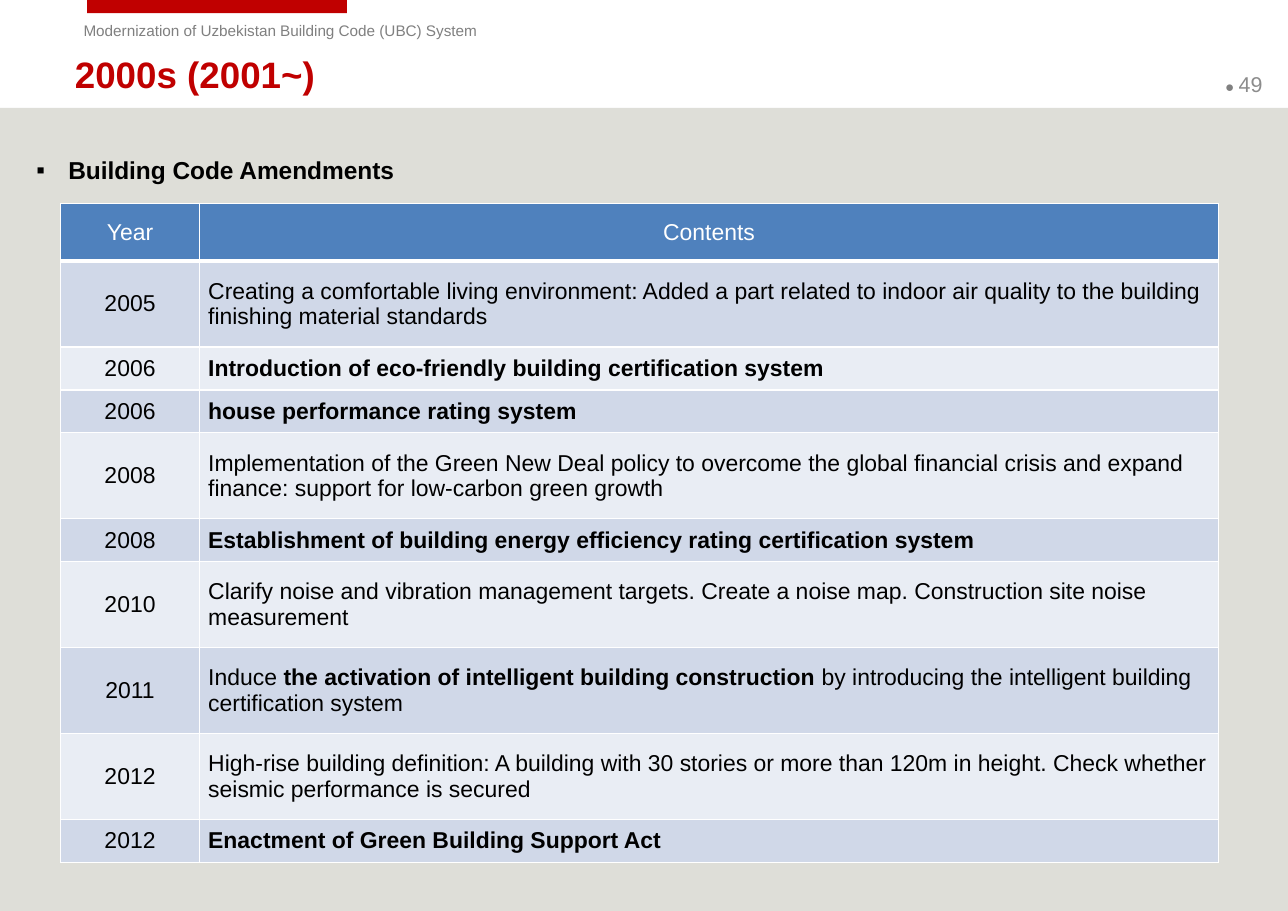
from lxml import etree
from pptx import Presentation
from pptx.dml.color import RGBColor
from pptx.enum.shapes import MSO_SHAPE
from pptx.enum.text import MSO_ANCHOR, PP_ALIGN
from pptx.oxml.ns import qn
from pptx.util import Inches, Pt

RECTANGLE = MSO_SHAPE.RECTANGLE
TOP, MIDDLE = MSO_ANCHOR.TOP, MSO_ANCHOR.MIDDLE
LEFT, CENTER = PP_ALIGN.LEFT, PP_ALIGN.CENTER

COLORS = {
    "panel": "DEDED8", "accent": "C00000", "gray": "808080", "number": "8C8C8C",
    "black": "000000", "white": "FFFFFF", "header": "4F81BD",
    "odd": "D0D8E8", "even": "E9EDF4",
}
FONT = "Arial"
TABLE_SIZE = 15

BANDS = [
    ((0, 0.98, 11.69, 7.29), "panel"),
    ((0.79, 0, 2.36, 0.12), "accent"),
]

TEXTS = [
    ((0.66, 0.14, 4.68, 0.27), (0.1, 0.05), TOP, None,
     [("Modernization of Uzbekistan Building Code (UBC) System", 10, "gray", False)]),
    ((11.01, 0.54, 0.69, 0.44), (0.11, 0.06), MIDDLE, None,
     [("● ", 10, "gray", False), ("49", 14, "number", False)]),
    ((0.57, 0.47, 10.42, 0.4), (0.11, 0.06), MIDDLE, None,
     [("2000s (2001~)", 24, "accent", True)]),
    ((0.22, 1.35, 11.09, 0.4), (0.11, 0.06), TOP, "▪",
     [("Building Code Amendments", 16, "black", True)]),
]

HEADINGS = ["Year", "Contents"]
AMENDMENTS = [
    ("2005", 0.78, [("Creating a comfortable living environment: Added a part related to "
                     "indoor air quality to the building finishing material standards", False)]),
    ("2006", 0.39, [("Introduction of eco-friendly building certification system", True)]),
    ("2006", 0.39, [("house performance rating system", True)]),
    ("2008", 0.78, [("Implementation of the Green New Deal policy to overcome the global "
                     "financial crisis and expand finance: support for low-carbon green growth", False)]),
    ("2008", 0.39, [("Establishment of building energy efficiency rating certification system", True)]),
    ("2010", 0.78, [("Clarify noise and vibration management targets. Create a noise map. "
                     "Construction site noise measurement", False)]),
    ("2011", 0.78, [("Induce ", False),
                    ("the activation of intelligent building construction ", True),
                    ("by introducing the intelligent building certification system", False)]),
    ("2012", 0.78, [("High-rise building definition: A building with 30 stories or more than "
                     "120m in height. Check whether seismic performance is secured", False)]),
    ("2012", 0.39, [("Enactment of Green Building Support Act", True)]),
]
TABLE_LEFT, TABLE_TOP = 0.55, 1.85
COLUMN_WIDTHS = [1.26, 9.25]
HEADER_HEIGHT = 0.52


def rgb(name):
    return RGBColor.from_string(COLORS[name])


def add_run(paragraph, text, size, color, bold):
    run = paragraph.add_run()
    run.text = text
    run.font.name = FONT
    run.font.size = Pt(size)
    run.font.bold = bold
    run.font.color.rgb = rgb(color)


def add_band(slide, box, color):
    shape = slide.shapes.add_shape(RECTANGLE, *map(Inches, box))
    shape.shadow.inherit = False
    shape.fill.solid()
    shape.fill.fore_color.rgb = rgb(color)
    shape.line.fill.background()


def add_bullet(paragraph, character):
    properties = paragraph._p.get_or_add_pPr()
    properties.set("marL", str(Inches(0.29)))
    properties.set("indent", str(-Inches(0.29)))
    etree.SubElement(properties, qn("a:buFont"), typeface=FONT)
    etree.SubElement(properties, qn("a:buChar"), char=character)


def add_text(slide, box, insets, anchor, bullet, runs):
    frame = slide.shapes.add_textbox(*map(Inches, box)).text_frame
    frame.word_wrap = True
    frame.vertical_anchor = anchor
    frame.margin_left = frame.margin_right = Inches(insets[0])
    frame.margin_top = frame.margin_bottom = Inches(insets[1])
    paragraph = frame.paragraphs[0]
    if bullet:
        add_bullet(paragraph, bullet)
    for run in runs:
        add_run(paragraph, *run)


def add_borders(cell, top, bottom):
    properties = cell._tc.get_or_add_tcPr()
    widths = {"a:lnL": 1, "a:lnR": 1, "a:lnT": top, "a:lnB": bottom}
    for position, (tag, width) in enumerate(widths.items()):
        line = etree.Element(qn(tag), w=str(Pt(width)))
        fill = etree.SubElement(line, qn("a:solidFill"))
        etree.SubElement(fill, qn("a:srgbClr"), val=COLORS["white"])
        properties.insert(position, line)


def fill_cell(cell, runs, alignment, text_color, fill_color, top, bottom):
    cell.margin_left = cell.margin_right = Inches(0.08)
    cell.margin_top = cell.margin_bottom = 0
    cell.vertical_anchor = MIDDLE
    cell.fill.solid()
    cell.fill.fore_color.rgb = rgb(fill_color)
    add_borders(cell, top, bottom)
    paragraph = cell.text_frame.paragraphs[0]
    paragraph.alignment = alignment
    for text, bold in runs:
        add_run(paragraph, text, TABLE_SIZE, text_color, bold)


def add_amendments(slide):
    heights = [HEADER_HEIGHT] + [height for _, height, _ in AMENDMENTS]
    table = slide.shapes.add_table(
        len(heights), len(COLUMN_WIDTHS), Inches(TABLE_LEFT), Inches(TABLE_TOP),
        Inches(sum(COLUMN_WIDTHS)), Inches(sum(heights))).table
    for column, width in zip(table.columns, COLUMN_WIDTHS):
        column.width = Inches(width)
    for row, height in zip(table.rows, heights):
        row.height = Inches(height)
    for column, heading in enumerate(HEADINGS):
        fill_cell(table.cell(0, column), [(heading, False)], CENTER, "white", "header", 1, 3)
    for row, (year, _, contents) in enumerate(AMENDMENTS, 1):
        band = "odd" if row % 2 else "even"
        top = 3 if row == 1 else 1
        fill_cell(table.cell(row, 0), [(year, False)], CENTER, "black", band, top, 1)
        fill_cell(table.cell(row, 1), contents, LEFT, "black", band, top, 1)


def main():
    presentation = Presentation()
    presentation.slide_width = Inches(11.69)
    presentation.slide_height = Inches(8.27)
    slide = presentation.slides.add_slide(presentation.slide_layouts[6])
    for band in BANDS:
        add_band(slide, *band)
    for text in TEXTS:
        add_text(slide, *text)
    add_amendments(slide)
    presentation.save("out.pptx")


if __name__ == "__main__":
    main()
